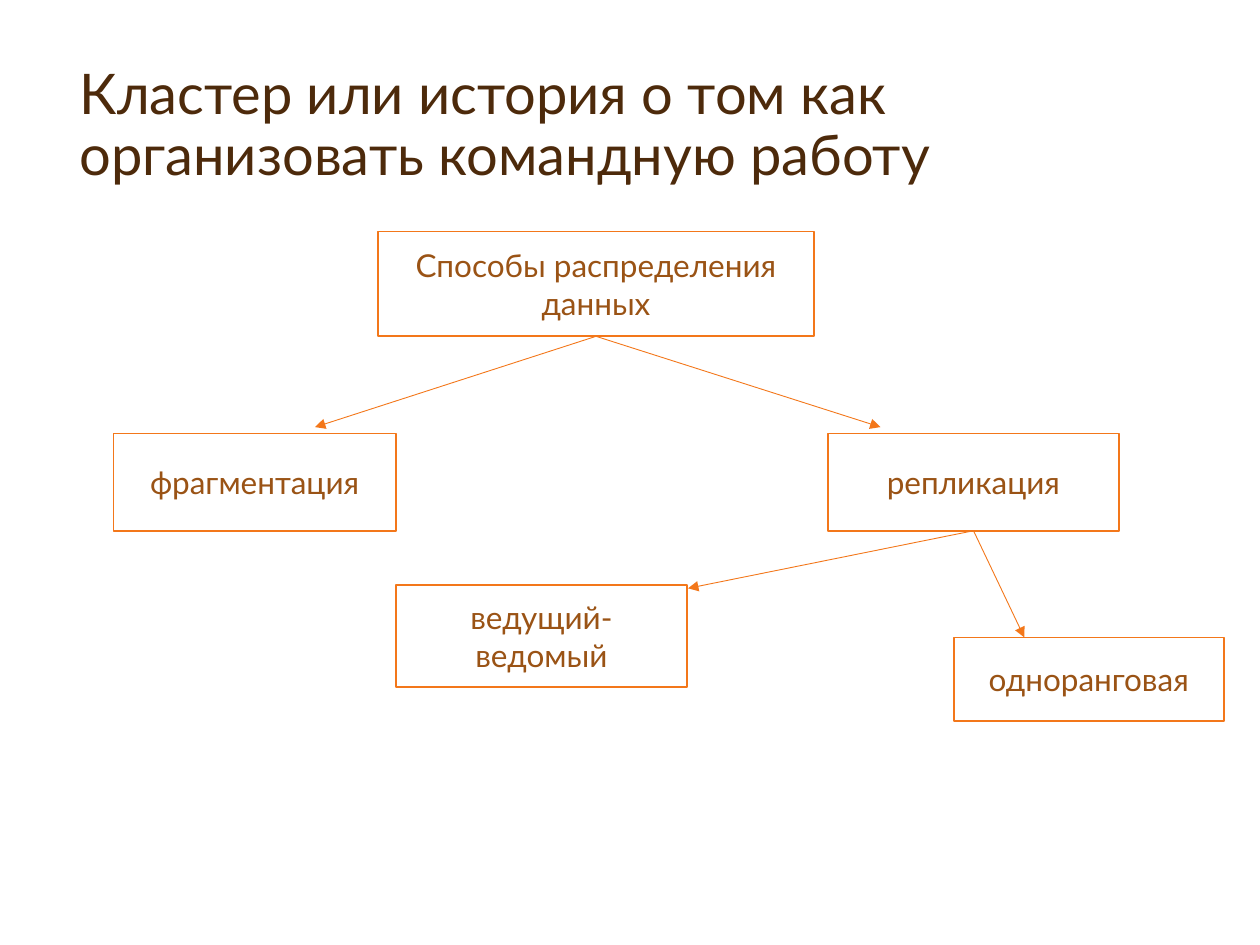
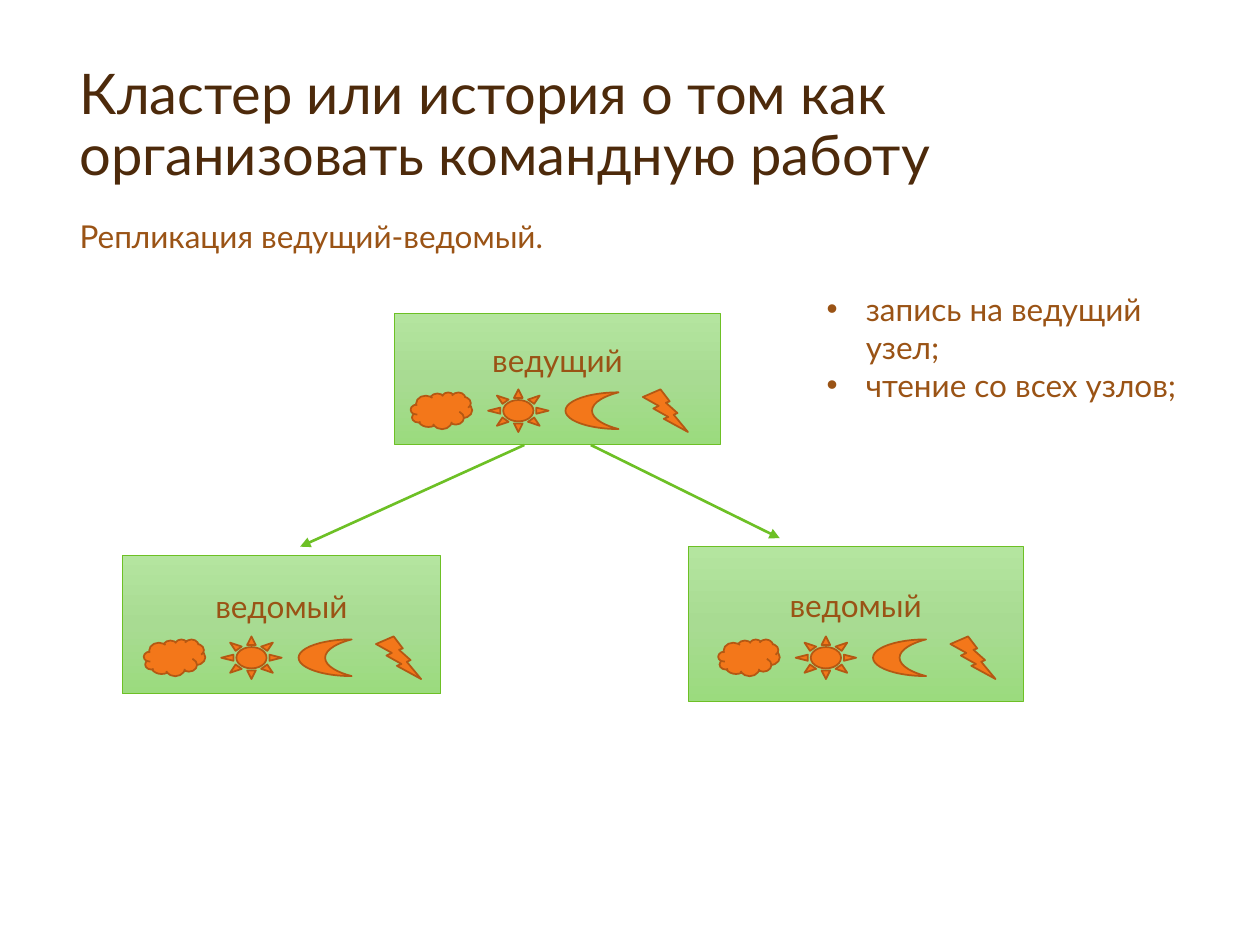
from copy import deepcopy

from pptx import Presentation
from pptx.dml.color import RGBColor
from pptx.enum.shapes import MSO_CONNECTOR, MSO_SHAPE
from pptx.enum.text import MSO_ANCHOR, PP_ALIGN
from pptx.oxml.ns import qn
from pptx.util import Cm, Pt

RECT, STRAIGHT = MSO_SHAPE.RECTANGLE, MSO_CONNECTOR.STRAIGHT
LEFT, CENTER = PP_ALIGN.LEFT, PP_ALIGN.CENTER
TOP, MIDDLE, BOTTOM = MSO_ANCHOR.TOP, MSO_ANCHOR.MIDDLE, MSO_ANCHOR.BOTTOM
TITLE_ONLY, TWO_CONTENT = 5, 3

FONT = "Lato"
COLORS = {
    "title": "4D2A0B", "text": "9A5315", "white": "FFFFFF",
    "orange": "F3771A", "icon_line": "B45813", "green": "6DC025",
}
NODE_GRADIENT = [(0, "B4E59F"), (0.5, "A8DB92"), (1, "9BDB7E")]

# Content; places are left, top, width, height in cm
TITLE = "Кластер или история о том как организовать командную работу"
TITLE_AT = (1.35, 0.94, 22.25, 2.97)

METHODS = {
    "root": ("Способы распределения данных", (7.62, 4.67, 8.79, 2.11)),
    "sharding": ("фрагментация", (2.29, 8.74, 5.69, 1.96)),
    "replication": ("репликация", (16.69, 8.74, 5.87, 1.96)),
    "leader": ("ведущий-ведомый", (7.98, 11.79, 5.87, 2.06)),
    "peer": ("одноранговая", (19.23, 12.85, 5.44, 1.68)),
}
# Parent box and arrow tip
BRANCHES = [
    ("root", (6.35, 8.61)), ("root", (17.75, 8.61)),
    ("replication", (13.87, 11.86)), ("replication", (20.65, 12.85)),
]

SUBTITLE = ["Репликация ведущий-ведомый."]
SUBTITLE_AT = (1.35, 4.24, 22.3, 12.27)
RULES = ["запись на ведущий узел;", "чтение со всех узлов;"]
RULES_AT = (16.41, 5.72, 8.36, 3.33)

# Label, place, left edge and middle line of the icon row
NODES = [
    ("ведущий", (7.95, 6.32, 6.58, 2.64), (8.28, 8.28)),
    ("ведомый", (2.46, 11.2, 6.43, 2.79), (2.9, 13.26)),
    ("ведомый", (13.87, 11.02, 6.76, 3.12), (14.48, 13.26)),
]
ICONS = [
    (MSO_SHAPE.CLOUD, 1.24, 0.74), (MSO_SHAPE.SUN, 1.22, 0.86),
    (MSO_SHAPE.MOON, 1.07, 0.74), (MSO_SHAPE.LIGHTNING_BOLT, 0.91, 0.86),
]
ICON_PITCH = 1.56
ICON_ROW = 0.89  # bottom inset that keeps a label above its icons
COPY_ARROWS = [((10.57, 8.97), (6.05, 11.02)), ((11.91, 8.97), (15.72, 10.85))]


def rgb(name):
    return RGBColor.from_string(COLORS[name])


def write(tf, lines, size=18, color="text", align=LEFT, anchor=TOP,
          spacing=1.0, before=0):
    tf.word_wrap = True
    tf.vertical_anchor = anchor
    for i, line in enumerate(lines):
        p = tf.paragraphs[0] if i == 0 else tf.add_paragraph()
        p.alignment, p.line_spacing, p.space_before = align, spacing, Pt(before)
        r = p.add_run()
        r.text = line
        r.font.name, r.font.size, r.font.color.rgb = FONT, Pt(size), rgb(color)


def place(sp, at):
    sp.left, sp.top, sp.width, sp.height = map(Cm, at)


def set_bullets(tf, char=None, indent=0):
    for p in tf.paragraphs:
        pPr = p._p.get_or_add_pPr()
        pPr.set("marL", str(Cm(indent)))
        pPr.set("indent", str(-Cm(indent)))
        if char:
            font = pPr.makeelement(qn("a:buFont"), {"typeface": "Arial"})
            pPr.append(font)
            pPr.append(pPr.makeelement(qn("a:buChar"), {"char": char}))
        else:
            pPr.append(pPr.makeelement(qn("a:buNone"), {}))


def add_slide(prs, layout):
    s = prs.slides.add_slide(prs.slide_layouts[layout])
    place(s.shapes.title, TITLE_AT)
    write(s.shapes.title.text_frame, [TITLE], 32, "title", anchor=BOTTOM,
          spacing=0.9)
    # Only the title and the body placeholders in use stay
    for ph in list(s.placeholders):
        if ph.placeholder_format.idx > 2:
            ph._element.getparent().remove(ph._element)
    return s


def add_shape(s, kind, at, line, width, fill=None):
    sp = s.shapes.add_shape(kind, *map(Cm, at))
    sp.shadow.inherit = False
    sp.line.color.rgb, sp.line.width = rgb(line), Pt(width)
    if fill:
        sp.fill.solid()
        sp.fill.fore_color.rgb = rgb(fill)
    return sp


def add_arrow(s, start, end, color, width):
    cn = s.shapes.add_connector(STRAIGHT, *map(Cm, start + end))
    cn.line.color.rgb, cn.line.width = rgb(color), Pt(width)
    ln = cn.line._get_or_add_ln()
    ln.append(ln.makeelement(qn("a:tailEnd"), {"type": "triangle"}))
    spPr = cn._element.spPr
    spPr.append(spPr.makeelement(qn("a:effectLst"), {}))


def fill_gradient(sp):
    sp.fill.gradient()
    sp.fill.gradient_angle = 270
    gs = sp._element.spPr.find(".//" + qn("a:gs"))
    gs.addnext(deepcopy(gs))
    for stop, (position, color) in zip(sp.fill.gradient_stops, NODE_GRADIENT):
        stop.position = position
        stop.color.rgb = RGBColor.from_string(color)


def add_node(s, label, at, icons_at):
    sp = add_shape(s, RECT, at, "green", 0.5)
    fill_gradient(sp)
    sp.text_frame.margin_bottom = Cm(ICON_ROW)
    write(sp.text_frame, [label], align=CENTER, anchor=MIDDLE)
    left, middle = icons_at
    for i, (kind, w, h) in enumerate(ICONS):
        icon_at = (left + i * ICON_PITCH, middle - h / 2, w, h)
        add_shape(s, kind, icon_at, "icon_line", 1, "orange")


def build_methods(prs):
    s = add_slide(prs, TITLE_ONLY)
    for label, at in METHODS.values():
        sp = add_shape(s, RECT, at, "orange", 1, "white")
        write(sp.text_frame, [label], align=CENTER, anchor=MIDDLE)
    for parent, tip in BRANCHES:
        x, y, w, h = METHODS[parent][1]
        add_arrow(s, (x + w / 2, y + h), tip, "orange", 0.5)


def build_replication(prs):
    s = add_slide(prs, TWO_CONTENT)
    subtitle, rules = s.placeholders[1], s.placeholders[2]
    place(subtitle, SUBTITLE_AT)
    write(subtitle.text_frame, SUBTITLE, before=18)
    set_bullets(subtitle.text_frame)
    place(rules, RULES_AT)
    write(rules.text_frame, RULES)
    set_bullets(rules.text_frame, "•", 0.79)
    for node in NODES:
        add_node(s, *node)
    for start, end in COPY_ARROWS:
        add_arrow(s, start, end, "green", 1.5)


def main():
    prs = Presentation()
    prs.slide_width, prs.slide_height = Cm(25.4), Cm(19.05)
    build_methods(prs)
    build_replication(prs)
    prs.save("out.pptx")


if __name__ == "__main__":
    main()
